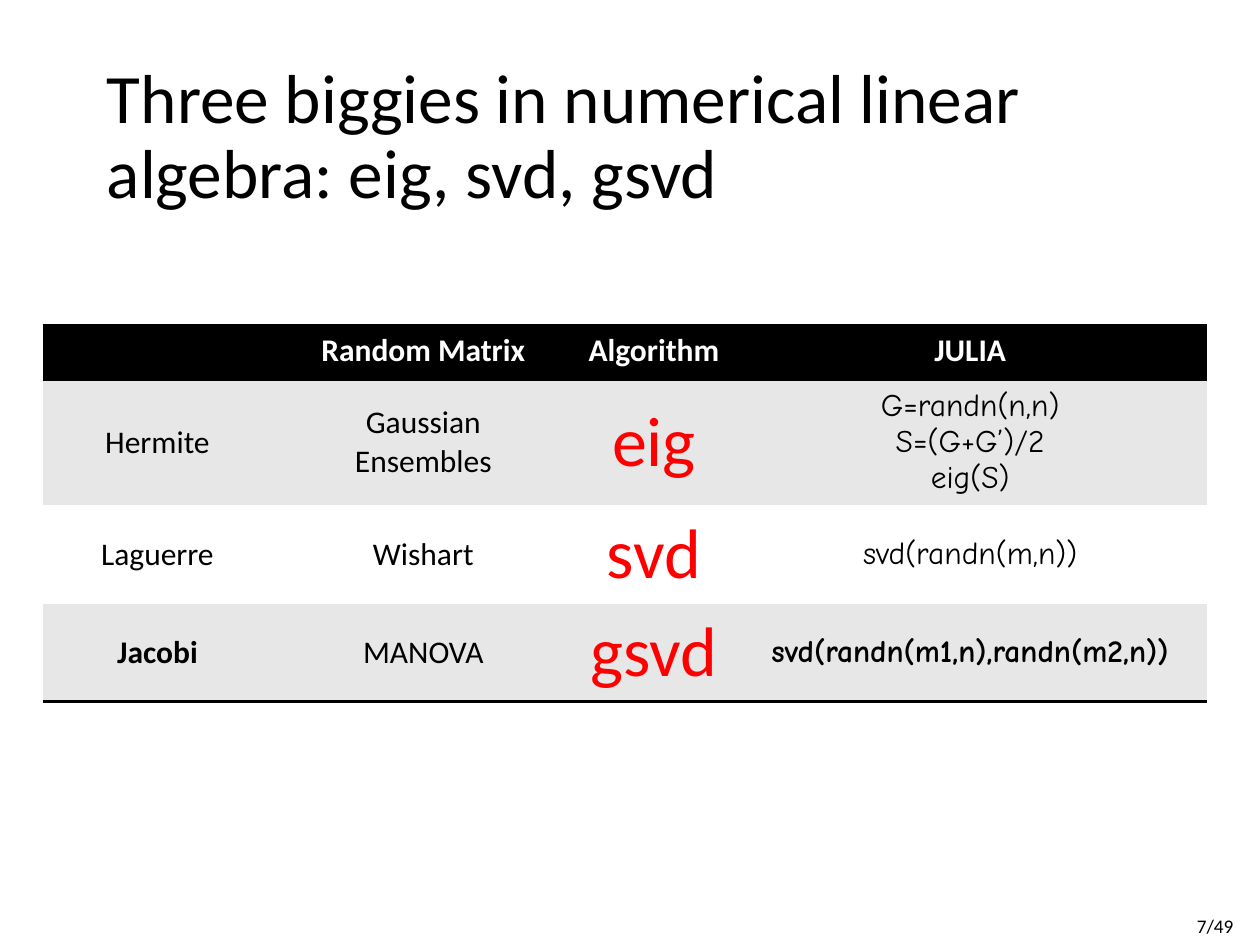
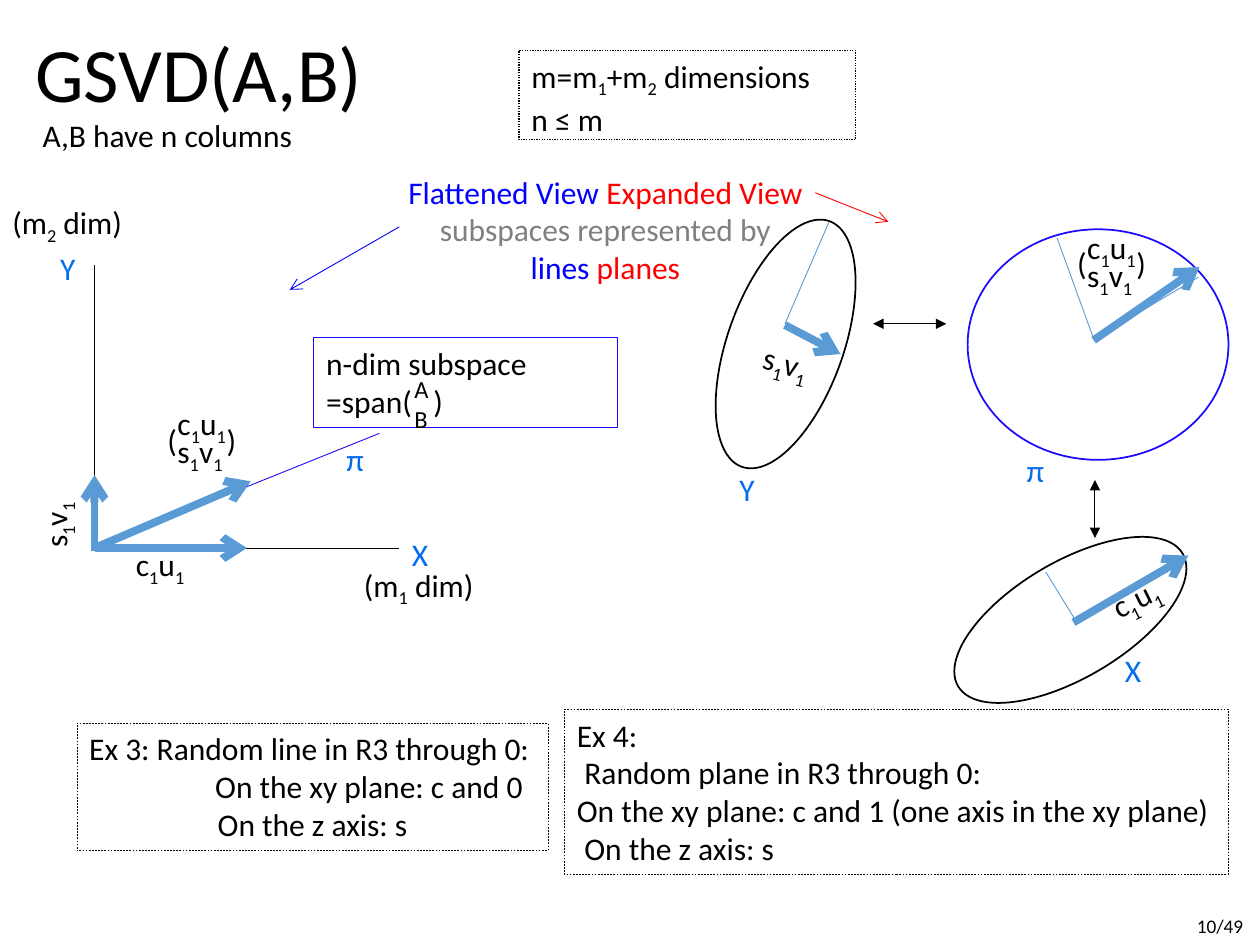
from dataclasses import dataclass
from typing import NamedTuple

from lxml.etree import SubElement
from pptx import Presentation
from pptx.dml.color import RGBColor
from pptx.enum.dml import MSO_LINE
from pptx.enum.shapes import MSO_CONNECTOR, MSO_SHAPE
from pptx.enum.text import MSO_ANCHOR, PP_ALIGN
from pptx.oxml.ns import qn
from pptx.util import Inches, Pt

# Shared look
BODY_FONT, CODE_FONT = "Calibri", "Comic Neue"
BLACK, WHITE, RED, GRAY = "000000", "FFFFFF", "FF0000", "808080"
BAND, LABEL_BLUE, PLANE_BLUE = "E7E7E7", "066DEA", "1B0AFC"
VIEW_BLUE, VECTOR_BLUE = "0000FF", "5B9BD5"
PAGE_COUNT = 49
NO_TABLE_STYLE = "{2D5ABB26-0587-4C30-8999-92F81FD0307C}"


class Span(NamedTuple):
    text: str
    color: str = BLACK


@dataclass
class Line:
    """One paragraph; an underscore lowers the character after it."""
    spans: list[Span]
    indent: float = 0
    tab: float = 0


@dataclass
class Label:
    lines: list[Line]
    left: float
    top: float
    width: float
    height: float = 0.4
    size: float = 18
    rotation: float = 0
    wrap: bool = False
    align: PP_ALIGN = PP_ALIGN.LEFT


@dataclass
class Frame:
    """Outline of a box or an ellipse."""
    left: float
    top: float
    width: float
    height: float
    color: str = BLACK
    weight: float = 1
    rotation: float = 0
    dash: MSO_LINE | None = None
    lines: list[Line] | None = None
    wrap: bool = True


class Stroke(NamedTuple):
    x1: float
    y1: float
    x2: float
    y2: float
    color: str = BLACK
    weight: float = 0.5
    head: str = ""
    tail: str = ""


def rgb(color: str) -> RGBColor:
    return RGBColor.from_string(color)


def plain(*texts: str, color: str = BLACK) -> list[Line]:
    return [Line([Span(text, color)]) for text in texts]


def add_run(paragraph, text: str, color: str, size: float, lowered: bool = False) -> None:
    run = paragraph.add_run()
    run.text = text
    run.font.name = BODY_FONT
    run.font.size = Pt(size)
    run.font.color.rgb = rgb(color)
    if lowered:
        run._r.get_or_add_rPr().set("baseline", "-25000")


def write_lines(text_frame, lines: list[Line], size: float = 18,
                align: PP_ALIGN = PP_ALIGN.LEFT, wrap: bool = True) -> None:
    text_frame.word_wrap = wrap
    for number, line in enumerate(lines):
        paragraph = text_frame.add_paragraph() if number else text_frame.paragraphs[0]
        paragraph.alignment = align
        properties = paragraph._p.get_or_add_pPr()
        if line.indent:
            properties.set("marL", str(Inches(line.indent)))
            properties.set("indent", "0")
        if line.tab:
            stops = SubElement(properties, qn("a:tabLst"))
            SubElement(stops, qn("a:tab"), pos=str(Inches(line.tab)), algn="l")
        for text, color in line.spans:
            first, *lowered_parts = text.split("_")
            if first:
                add_run(paragraph, first, color, size)
            for part in lowered_parts:
                add_run(paragraph, part[0], color, size, lowered=True)
                if part[1:]:
                    add_run(paragraph, part[1:], color, size)


def add_label(slide, label: Label):
    box = slide.shapes.add_textbox(Inches(label.left), Inches(label.top),
                                   Inches(label.width), Inches(label.height))
    box.rotation = label.rotation
    write_lines(box.text_frame, label.lines, label.size, label.align, label.wrap)
    return box


def add_frame(slide, preset: MSO_SHAPE, frame: Frame) -> None:
    shape = slide.shapes.add_shape(preset, Inches(frame.left), Inches(frame.top),
                                   Inches(frame.width), Inches(frame.height))
    shape.shadow.inherit = False
    shape.fill.background()
    shape.line.color.rgb = rgb(frame.color)
    shape.line.width = Pt(frame.weight)
    shape.rotation = frame.rotation
    if frame.dash:
        shape.line.dash_style = frame.dash
    if frame.lines:
        shape.text_frame.vertical_anchor = MSO_ANCHOR.TOP
        write_lines(shape.text_frame, frame.lines, wrap=frame.wrap)


def add_stroke(slide, stroke: Stroke) -> None:
    line = slide.shapes.add_connector(MSO_CONNECTOR.STRAIGHT, Inches(stroke.x1), Inches(stroke.y1),
                                      Inches(stroke.x2), Inches(stroke.y2))
    line.line.color.rgb = rgb(stroke.color)
    line.line.width = Pt(stroke.weight)
    outline = line._element.spPr.get_or_add_ln()
    for tag, kind in (("a:headEnd", stroke.head), ("a:tailEnd", stroke.tail)):
        if kind:
            SubElement(outline, qn(tag), type=kind)
    SubElement(line._element.spPr, qn("a:effectLst"))


def add_page(deck, number: int, title: Label):
    """Blank slide with page number and title."""
    slide = deck.slides.add_slide(deck.slide_layouts[6])
    add_label(slide, Label(plain(f"{number}/{PAGE_COUNT}"), 9.4, 7.21, 0.6, 0.29, size=11))
    heading = add_label(slide, title)
    heading.text_frame.vertical_anchor = MSO_ANCHOR.MIDDLE
    heading.text_frame.paragraphs[0].line_spacing = 0.9
    return slide


# Table of algorithms
COLUMNS = [1.82, 2.4, 1.26, 3.76]
ROWS = [0.43, 0.95, 0.78, 0.78]
ALGORITHMS = [
    ["", "Random Matrix", "Algorithm", "JULIA"],
    ["Hermite", "Gaussian\nEnsembles", "eig", "G=randn(n,n)\nS=(G+G’)/2\neig(S)"],
    ["Laguerre", "Wishart", "svd", "svd(randn(m,n))"],
    ["Jacobi", "MANOVA", "gsvd", "svd(randn(m1,n),randn(m2,n))"],
]
ALGORITHM_COLUMN, CODE_COLUMN = 2, 3
BOLD_CELLS = {"Jacobi", "svd(randn(m1,n),randn(m2,n))"}


def rule_cell(cell, *sides: str) -> None:
    properties = cell._tc.get_or_add_tcPr()
    for position, side in enumerate(sides):
        border = SubElement(properties, qn(f"a:{side}"), w=str(Pt(2)))
        fill = SubElement(border, qn("a:solidFill"))
        SubElement(fill, qn("a:srgbClr"), val=BLACK)
        properties.insert(position, border)


def fill_cell(cell, text: str, row: int, column: int) -> None:
    header = row == 0
    cell.fill.solid()
    cell.fill.fore_color.rgb = rgb(BLACK if header else BAND if row % 2 else WHITE)
    cell.vertical_anchor = MSO_ANCHOR.TOP if header else MSO_ANCHOR.MIDDLE
    if header:
        rule_cell(cell, "lnT", "lnB")
    elif row == len(ROWS) - 1:
        rule_cell(cell, "lnB")
    big = column == ALGORITHM_COLUMN and not header
    cell.text_frame.text = text
    for paragraph in cell.text_frame.paragraphs:
        paragraph.alignment = PP_ALIGN.CENTER
        for run in paragraph.runs:
            run.font.name = CODE_FONT if column == CODE_COLUMN and not header else BODY_FONT
            run.font.size = Pt(40 if big else 18)
            run.font.bold = header or text in BOLD_CELLS
            run.font.color.rgb = rgb(WHITE if header else RED if big else BLACK)


def build_biggies(deck) -> None:
    title = Label(plain("Three biggies in numerical linear algebra: eig, svd, gsvd"),
                  0.75, 0.42, 8.42, 1.36, size=39.6, wrap=True)
    slide = add_page(deck, 7, title)
    table = slide.shapes.add_table(len(ROWS), len(COLUMNS), Inches(0.34), Inches(2.58),
                                   Inches(sum(COLUMNS)), Inches(sum(ROWS))).table
    table._tbl.tblPr.find(qn("a:tableStyleId")).text = NO_TABLE_STYLE
    for column, width in zip(table.columns, COLUMNS):
        column.width = Inches(width)
    for row, height in zip(table.rows, ROWS):
        row.height = Inches(height)
    for row, texts in enumerate(ALGORITHMS):
        for column, text in enumerate(texts):
            fill_cell(table.cell(row, column), text, row, column)


# Geometry of the GSVD
ORIGIN = (0.75, 4.35)
BOXES = [
    Frame(2.49, 2.68, 2.41, 0.71, PLANE_BLUE, 0.5,
          lines=plain("n-dim subspace") + [Line([Span("=span(\t)")], tab=0.85)]),
    Frame(4.12, 0.4, 2.67, 0.71, weight=0.75, dash=MSO_LINE.ROUND_DOT,
          lines=plain("m=m_1+m_2 dimensions", "n ≤ m")),
    Frame(4.48, 5.63, 5.27, 1.31, weight=0.25, dash=MSO_LINE.DASH, wrap=False,
          lines=[Line([Span("Ex 4:")]),
                 Line([Span("Random plane in R3 through 0:")], indent=0.06),
                 Line([Span("On the xy plane: c and 1 (one axis in the xy plane)")]),
                 Line([Span("On the z axis: s")], indent=0.06)]),
    Frame(0.61, 5.74, 3.74, 1.01, weight=0.25, dash=MSO_LINE.DASH, wrap=False,
          lines=[Line([Span("Ex 3: Random line in R3 through 0:")]),
                 Line([Span("On the xy plane: c and 0")], indent=1),
                 Line([Span("On the z axis: s")], indent=1.02)]),
]
SUBSPACES = [
    Frame(7.68, 1.82, 2.07, 1.83, PLANE_BLUE),
    Frame(7.46, 4.46, 2.07, 0.92, rotation=329.4),
    Frame(5.2, 2.27, 2.07, 0.92, rotation=109.6),
]
AXIS_NAMES = [("X", 3.17, 4.2), ("Y", 0.38, 1.93), ("X", 8.83, 5.12), ("Y", 5.77, 3.68),
              ("π", 2.65, 3.44), ("π", 8.05, 3.53)]
STACKED_VECTORS = [(1.23, 3.16), (8.45, 1.76)]
LABELS = [
    Label(plain("A,B have n columns"), 0.24, 0.87, 2.21),
    Label(plain("(m_1 dim)"), 2.79, 4.44, 1.07),
    Label(plain("(m_2 dim)"), 0, 1.56, 1.07),
    Label(plain("c_1u_1"), 0.98, 4.28, 0.61),
    Label(plain("s_1v_1"), 0.14, 3.95, 0.59, rotation=270),
    Label(plain("c_1u_1"), 8.72, 4.54, 0.61, rotation=333.7),
    Label(plain("s_1v_1"), 5.96, 2.68, 0.59, rotation=14.2),
    Label(plain("A", "B"), 3.19, 2.92, 0.32, 0.57, size=14),
    Label([Line([Span("Flattened View ", VIEW_BLUE), Span("Expanded View", RED)]),
           Line([Span("subspaces represented by", GRAY)]),
           Line([Span("lines", VIEW_BLUE), Span(" planes", RED)])],
          3.09, 1.32, 3.43, 1.01, align=PP_ALIGN.CENTER),
]
STROKES = [
    # Axes and the flattened subspace
    Stroke(0.75, 2.1, *ORIGIN),
    Stroke(3.17, 4.35, *ORIGIN),
    Stroke(*ORIGIN, 3.01, 3.44, PLANE_BLUE),
    # Links between the expanded subspaces
    Stroke(8.69, 3.81, 8.69, 4.27, head="triangle", tail="triangle"),
    Stroke(6.93, 2.57, 7.51, 2.57, head="triangle", tail="triangle"),
    # Pointers to the two views
    Stroke(3.17, 1.8, 2.3, 2.3, VIEW_BLUE, tail="arrow"),
    Stroke(6.47, 1.53, 7.05, 1.76, RED, tail="arrow"),
]
RADII = [(8.54, 4.93, 9.43, 4.41), (8.54, 4.93, 8.3, 4.54), (6.23, 2.57, 6.67, 2.81),
         (8.69, 2.69, 9.51, 2.2), (8.68, 2.69, 8.39, 1.89), (6.23, 2.57, 6.58, 1.76)]
VECTORS = [(*ORIGIN, 1.99, 3.82), (*ORIGIN, 1.96, 4.35), (0.75, 4.37, 0.75, 3.77),
           (8.68, 2.7, 9.52, 2.12), (8.52, 4.94, 9.43, 4.41), (6.23, 2.58, 6.67, 2.81)]


def build_gsvd(deck) -> None:
    slide = add_page(deck, 10, Label(plain("GSVD(A,B)"), 0.18, -0.11, 8.62, 1.45, size=44, wrap=True))
    for box in BOXES:
        add_frame(slide, MSO_SHAPE.RECTANGLE, box)
    for subspace in SUBSPACES:
        add_frame(slide, MSO_SHAPE.OVAL, subspace)
    for label in LABELS:
        add_label(slide, label)
    for name, left, top in AXIS_NAMES:
        add_label(slide, Label(plain(name, color=LABEL_BLUE), left, top, 0.5, 0.5, wrap=True))
    # Stacked vectors inside parentheses
    for left, top in STACKED_VECTORS:
        add_label(slide, Label(plain("c_1u_1"), left + 0.08, top, 0.61))
        add_label(slide, Label(plain("s_1v_1"), left + 0.08, top + 0.22, 0.59))
        add_label(slide, Label([Line([Span("(\t)")], tab=0.47)], left, top + 0.13, 1.04, wrap=True))
    for stroke in STROKES:
        add_stroke(slide, stroke)
    for radius in RADII:
        add_stroke(slide, Stroke(*radius, VECTOR_BLUE))
    for vector in VECTORS:
        add_stroke(slide, Stroke(*vector, VECTOR_BLUE, 4.5, tail="arrow"))


def main() -> None:
    deck = Presentation()
    deck.slide_width, deck.slide_height = Inches(10), Inches(7.5)
    build_biggies(deck)
    build_gsvd(deck)
    deck.save("out.pptx")


if __name__ == "__main__":
    main()
